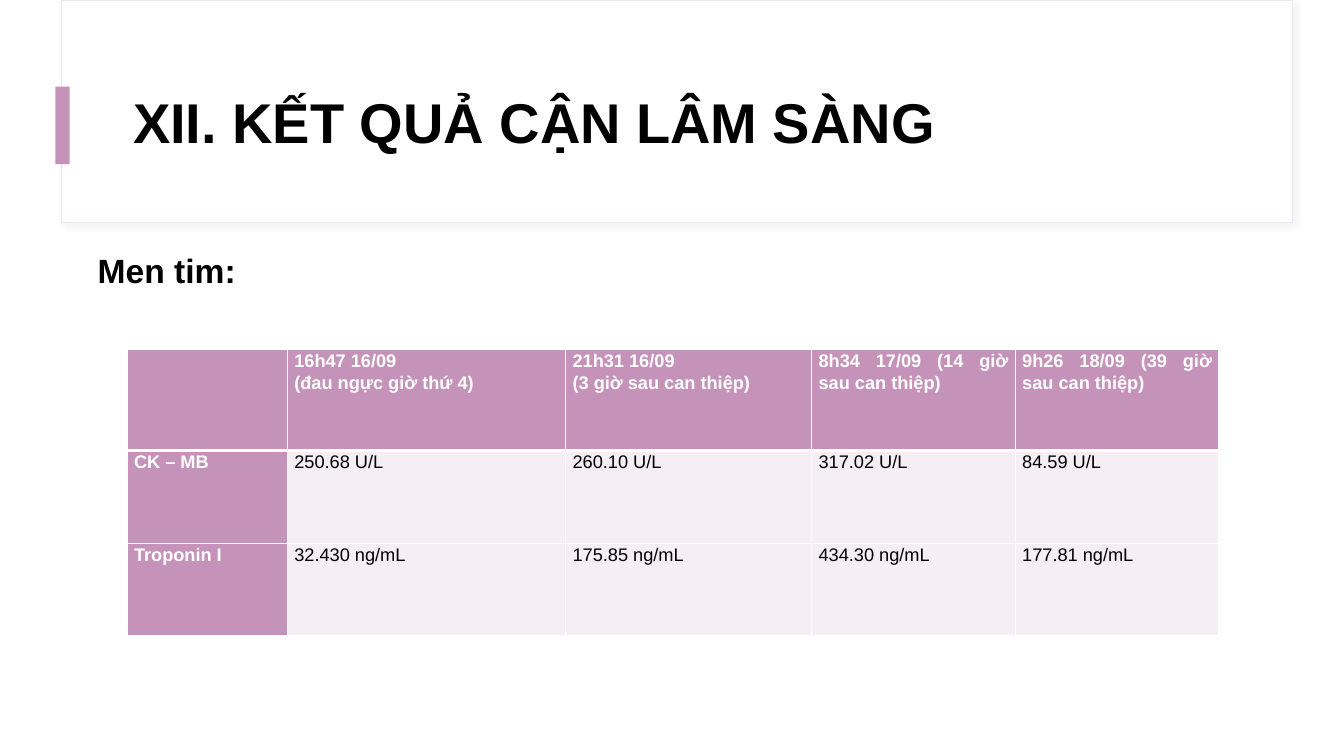
from dataclasses import dataclass

from lxml import etree
from pptx import Presentation
from pptx.dml.color import RGBColor
from pptx.enum.shapes import MSO_SHAPE
from pptx.enum.text import MSO_ANCHOR, MSO_AUTO_SIZE, PP_ALIGN
from pptx.oxml import parse_xml
from pptx.oxml.ns import nsdecls, qn
from pptx.util import Inches, Pt

RECT = MSO_SHAPE.RECTANGLE
MIDDLE = MSO_ANCHOR.MIDDLE
LEFT, JUSTIFY = PP_ALIGN.LEFT, PP_ALIGN.JUSTIFY


@dataclass(frozen=True)
class Theme:
    font: str = "Arial"
    white: str = "FFFFFF"
    black: str = "000000"
    mauve: str = "C593B9"
    pale: str = "F5EEF3"
    frame: str = "F0E5EE"
    shadow: str = "D9D9D9"
    title: int = 40
    heading: int = 24
    cell: int = 13


T = Theme()


def format_text(tf, size, color, bold, align, spacing=1.0):
    for p in tf.paragraphs:
        p.alignment = align
        p.line_spacing = spacing
        for r in p.runs:
            r.font.name = T.font
            r.font.size = Pt(size)
            r.font.bold = bold
            r.font.color.rgb = RGBColor.from_string(color)


def add_rect(left, top, width, height, fill):
    sp = slide.shapes.add_shape(RECT, Inches(left), Inches(top), Inches(width), Inches(height))
    sp.shadow.inherit = False
    sp.fill.solid()
    sp.fill.fore_color.rgb = RGBColor.from_string(fill)
    sp.line.fill.background()
    return sp


prs = Presentation()
prs.slide_width, prs.slide_height = Inches(13.33), Inches(7.5)
slide = prs.slides.add_slide(prs.slide_layouts[5])

# Header frame with soft shadow, and accent bar
frame = add_rect(0.61, 0, 12.21, 2.21, T.white)
frame.line.color.rgb = RGBColor.from_string(T.frame)
frame.line.width = Pt(0.75)
effects = frame._element.spPr.find(qn("a:effectLst"))
effects.append(parse_xml(
    f'<a:outerShdw {nsdecls("a")} blurRad="{Pt(4)}" dist="{Pt(3)}" dir="2700000" algn="tl" '
    f'rotWithShape="0"><a:srgbClr val="{T.shadow}"><a:alpha val="30000"/></a:srgbClr></a:outerShdw>'))
add_rect(0.55, 0.86, 0.14, 0.77, T.mauve)

# Title, raised above the frame
title = slide.shapes.title
title.left, title.top = Inches(1.22), Inches(0.6)
title.width, title.height = Inches(11.12), Inches(1.29)
tf = title.text_frame
tf.text = "XII. KẾT QUẢ CẬN LÂM SÀNG"
tf.word_wrap = True
tf.auto_size = MSO_AUTO_SIZE.NONE
tf.vertical_anchor = MIDDLE
format_text(tf, T.title, T.black, True, LEFT, 0.9)
slide.shapes._spTree.append(title._element)

# Results table
rows = [
    ["", "16h47 16/09\n(đau ngực giờ thứ 4)", "21h31 16/09\n(3 giờ sau can thiệp)",
     "8h34 17/09 (14 giờ sau can thiệp)", "9h26 18/09 (39 giờ sau can thiệp)"],
    ["CK – MB", "250.68 U/L", "260.10 U/L", "317.02 U/L", "84.59 U/L"],
    ["Troponin I", "32.430 ng/mL", "175.85 ng/mL", "434.30 ng/mL", "177.81 ng/mL"],
]
col_widths = [1.59, 2.76, 2.44, 2.02, 2.02]
row_heights = [1, 0.92, 0.92]
table = slide.shapes.add_table(len(rows), len(col_widths), Inches(1.26), Inches(3.47),
                               Inches(sum(col_widths)), Inches(sum(row_heights))).table
table.first_col = True
for col, width in zip(table.columns, col_widths):
    col.width = Inches(width)
for row, height in zip(table.rows, row_heights):
    row.height = Inches(height)

for i, values in enumerate(rows):
    for j, value in enumerate(values):
        cell = table.cell(i, j)
        is_head = i == 0 or j == 0
        cell.text_frame.text = value
        cell.margin_left = cell.margin_right = Inches(0.07)
        cell.margin_top = cell.margin_bottom = 0
        format_text(cell.text_frame, T.cell, T.white if is_head else T.black,
                    is_head, JUSTIFY, 1.07)
        cell.fill.solid()
        cell.fill.fore_color.rgb = RGBColor.from_string(T.mauve if is_head else T.pale)
        # White borders, heavier under the header row
        tcPr = cell._tc.get_or_add_tcPr()
        for k, side in enumerate(("lnL", "lnR", "lnT", "lnB")):
            heavy = (i, side) in ((0, "lnB"), (1, "lnT"))
            ln = etree.Element(qn(f"a:{side}"), w=str(Pt(3 if heavy else 1)))
            solid = etree.SubElement(ln, qn("a:solidFill"))
            etree.SubElement(solid, qn("a:srgbClr"), val=T.white)
            tcPr.insert(k, ln)

# Table heading
heading = slide.shapes.add_textbox(Inches(0.87), Inches(2.43), Inches(1.59), Inches(0.5))
tf = heading.text_frame
tf.text = "Men tim:"
tf.word_wrap = False
tf.auto_size = MSO_AUTO_SIZE.SHAPE_TO_FIT_TEXT
tf.vertical_anchor = MIDDLE
format_text(tf, T.heading, T.black, True, JUSTIFY)

prs.save("out.pptx")
